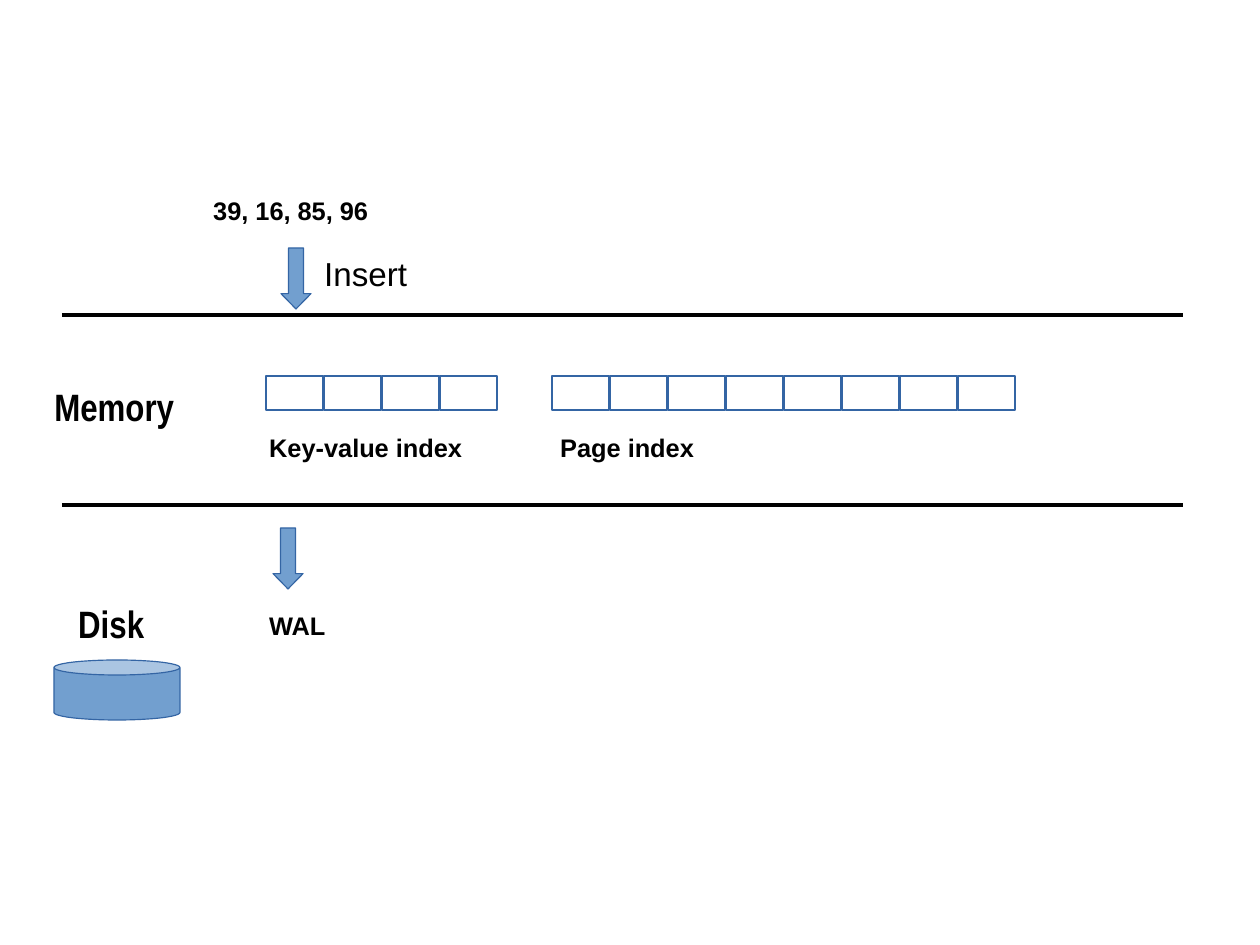
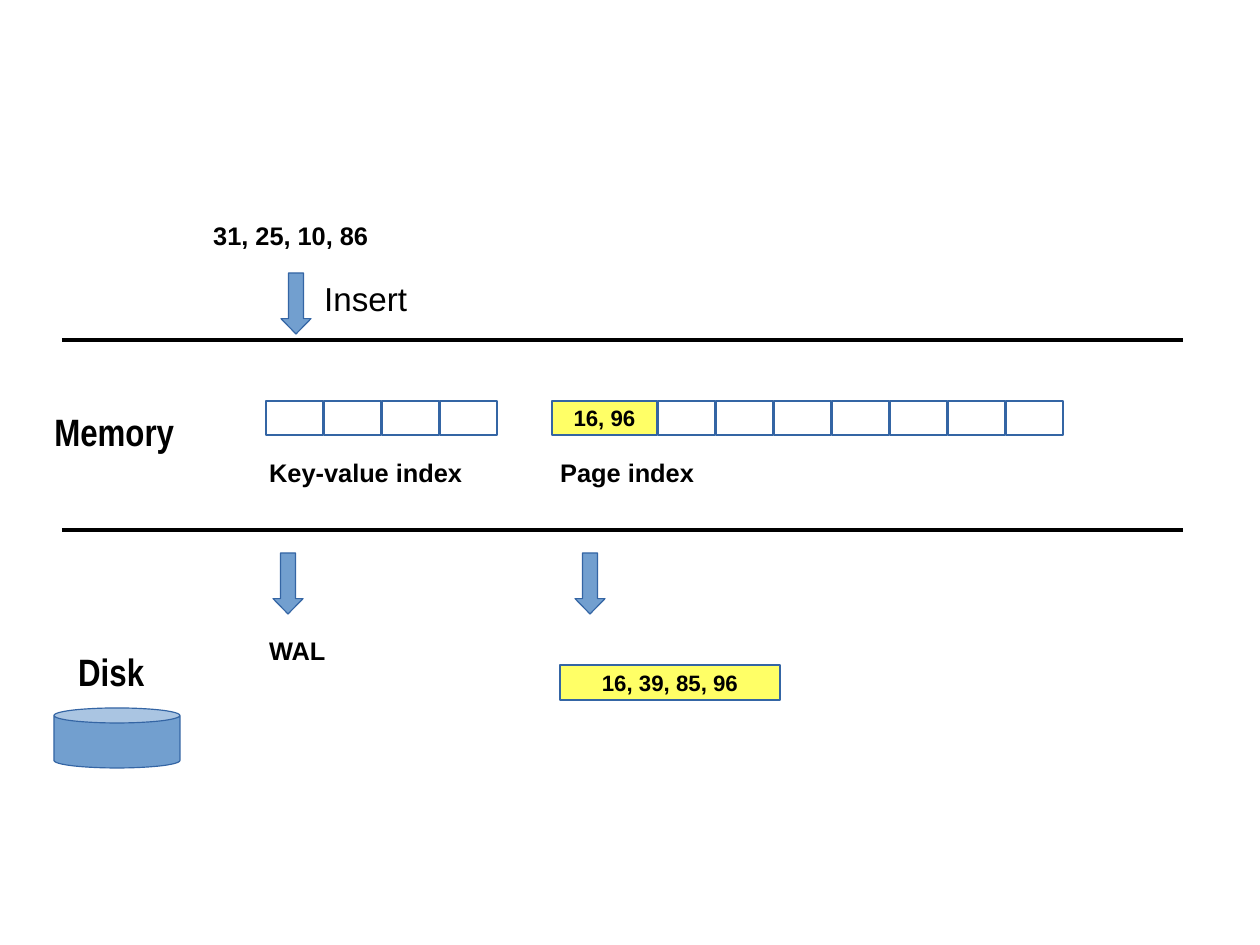
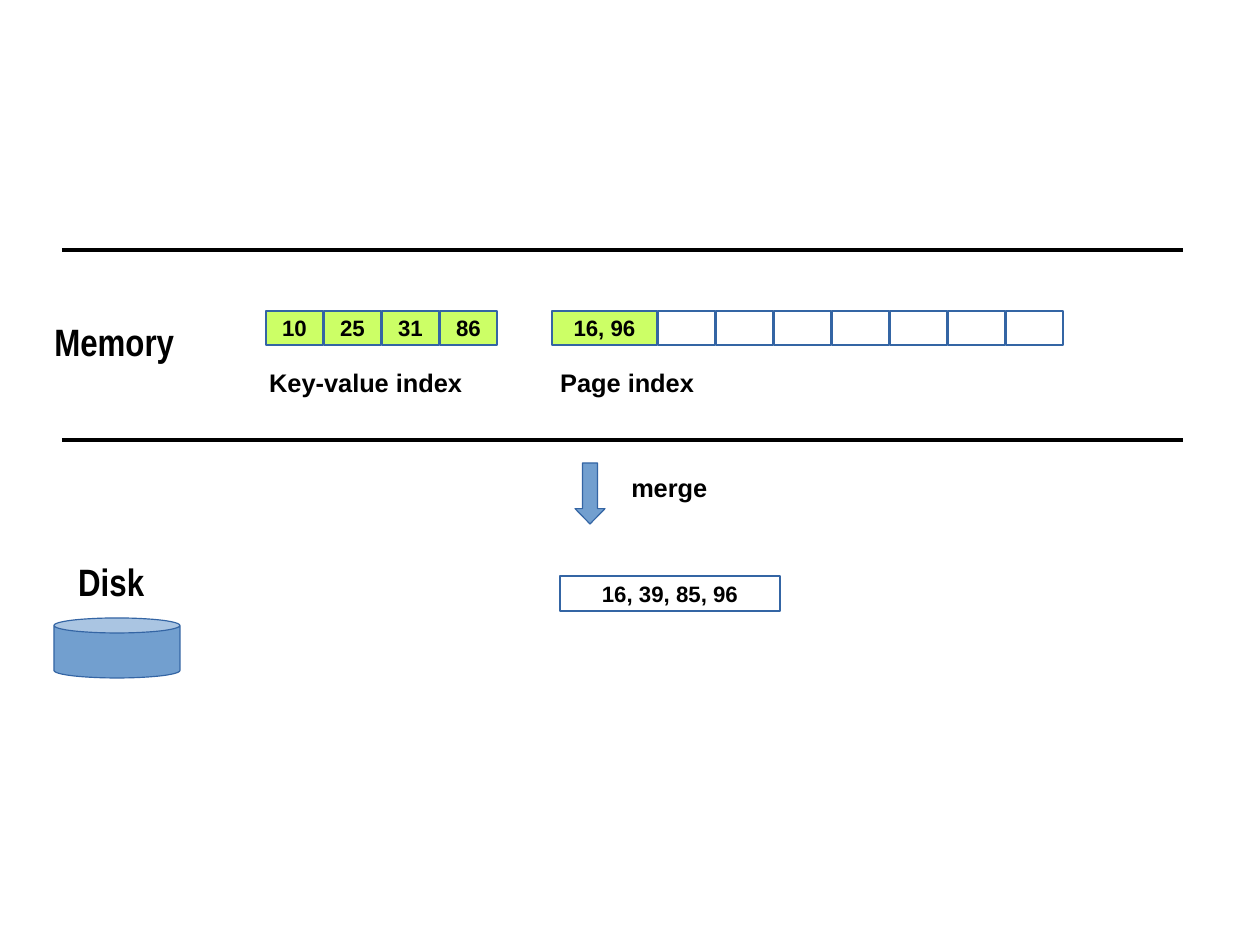
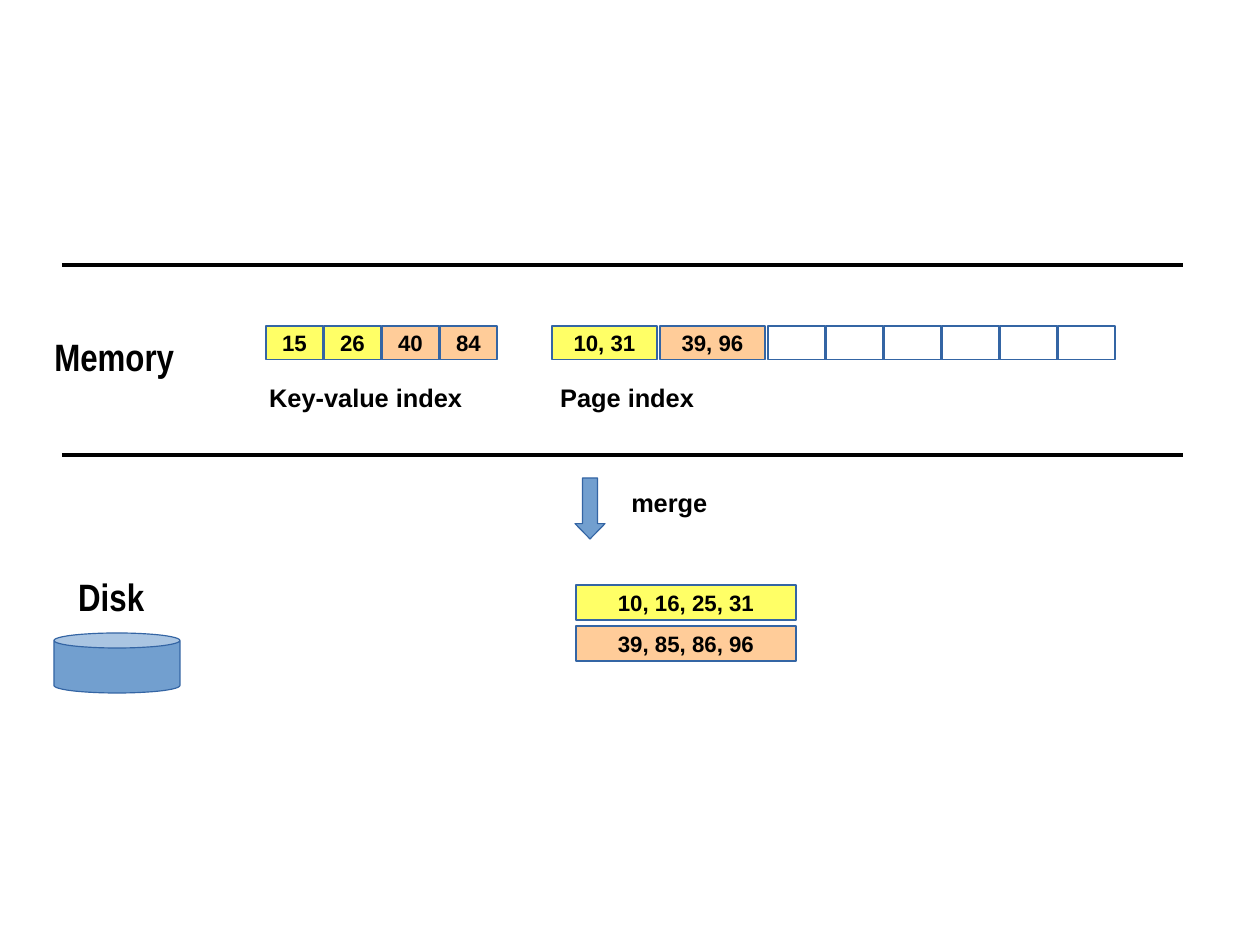
from lxml import etree
from pptx import Presentation
from pptx import util as u
from pptx.dml.color import RGBColor
from pptx.enum import shapes, text
from pptx.oxml.ns import qn

PX = 8000
C = {"ink": "000000", "edge": "3465A4", "blue": "729FCF", "yellow": "FFFF66",
     "green": "CCFF66", "orange": "FFCC99"}
MSO = shapes.MSO_SHAPE

LEFT, RIGHT, BAND = 62, 1183, 190
CELL_W, CELL_H, CELL_STEP = 57, 34, 58
PAGE_W, BLOCK_W, BLOCK_H, BLOCK_STEP = 105, 220, 35, 41
EMPTY = ("", None)

SLIDES = [
    {"top": 315, "disk": 280, "insert": "39, 16, 85, 96",
     "keys": [EMPTY] * 4, "pages": [EMPTY] * 8, "gap": 1,
     "blocks": [], "block_at": (560, 325)},
    {"top": 340, "disk": 303, "insert": "31, 25, 10, 86",
     "keys": [EMPTY] * 4, "pages": [("16, 96", "yellow")] + [EMPTY] * 7, "gap": 1,
     "blocks": [("16, 39, 85, 96", "yellow")], "block_at": (560, 325)},
    {"top": 250, "disk": 303, "insert": None,
     "keys": [(n, "green") for n in ("10", "25", "31", "86")],
     "pages": [("16, 96", "green")] + [EMPTY] * 7, "gap": 1,
     "blocks": [("16, 39, 85, 96", None)], "block_at": (560, 326)},
    {"top": 265, "disk": 303, "insert": None,
     "keys": [("15", "yellow"), ("26", "yellow"), ("40", "orange"), ("84", "orange")],
     "pages": [("10, 31", "yellow"), ("39, 96", "orange")] + [EMPTY] * 6, "gap": 3,
     "blocks": [("10, 16, 25, 31", "yellow"), ("39, 85, 86, 96", "orange")],
     "block_at": (576, 320)},
]


def add_text(sp, words, size, font="Arial", bold=True):
    r = sp.text_frame.paragraphs[0].add_run()
    r.text = words
    r.font.size = u.Pt(size)
    r.font.name = font
    r.font.bold = bold
    r.font.color.rgb = RGBColor.from_string(C["ink"])


def add_box(s, kind, x, y, w, h, fill=None, words=""):
    sp = s.shapes.add_shape(kind, x * PX, y * PX, w * PX, h * PX)
    sp.shadow.inherit = False
    if fill:
        sp.fill.solid()
        sp.fill.fore_color.rgb = RGBColor.from_string(C[fill])
    else:
        sp.fill.background()
    sp.line.color.rgb = RGBColor.from_string(C["edge"])
    sp.line.width = 0
    if kind == MSO.DOWN_ARROW:
        sp.adjustments[1] = 0.51
    if words:
        tf = sp.text_frame
        tf.word_wrap = False
        tf.vertical_anchor = text.MSO_ANCHOR.MIDDLE
        tf.paragraphs[0].alignment = text.PP_ALIGN.CENTER
        add_text(sp, words, 14)


prs = Presentation()
prs.slide_width, prs.slide_height = 1260 * PX, 945 * PX

for d in SLIDES:
    s = prs.slides.add_slide(prs.slide_layouts[6])
    top, disk = d["top"], d["top"] + d["disk"]

    for y in (top, top + BAND):
        ln = s.shapes.add_connector(shapes.MSO_CONNECTOR.STRAIGHT,
                                    LEFT * PX, y * PX, RIGHT * PX, y * PX)
        ln.line.color.rgb = RGBColor.from_string(C["ink"])
        ln.line.width = 0
        etree.SubElement(ln._element.spPr, qn("a:effectLst"))

    x = 266
    for words, fill in d["keys"]:
        add_box(s, MSO.RECTANGLE, x, top + 61, CELL_W, CELL_H, fill, words)
        x += CELL_STEP

    x = 552
    for words, fill in d["pages"]:
        add_box(s, MSO.RECTANGLE, x, top + 61, PAGE_W if words else CELL_W, CELL_H, fill, words)
        x += PAGE_W + d["gap"] if words else CELL_STEP

    x, y = d["block_at"]
    for i, (words, fill) in enumerate(d["blocks"]):
        add_box(s, MSO.RECTANGLE, x, top + y + i * BLOCK_STEP, BLOCK_W, BLOCK_H, fill, words)

    add_box(s, MSO.CAN, 54, disk + 65, 126, 60, "blue")

    labels = [
        ("Memory", 43, top + 63, 202, 74, 24, "Arial Narrow", True),
        ("Disk", 67, disk, 137, 74, 24, "Arial Narrow", True),
        ("Key-value index", 258, top + 112, 247, 53, 16, "Arial", True),
        ("Page index", 549, top + 112, 247, 53, 16, "Arial", True),
    ]
    arrows = []
    if d["insert"]:
        labels += [
            (d["insert"], 202, top - 125, 196, 53, 16, "Arial", True),
            ("Insert", 313, top - 67, 117, 65, 20.9, "Arial", False),
            ("WAL", 258, top + 290, 123, 53, 16, "Arial", True),
        ]
        arrows += [(281, top - 67), (273, top + 213)]
    else:
        labels.append(("merge", 620, top + 217, 247, 53, 16, "Arial", True))
    if d["blocks"]:
        arrows.append((575, top + 213))

    for words, x, y, w, h, size, font, bold in labels:
        sp = s.shapes.add_textbox(x * PX, y * PX, w * PX, h * PX)
        sp.text_frame.word_wrap = True
        add_text(sp, words, size, font, bold)
    for x, y in arrows:
        add_box(s, MSO.DOWN_ARROW, x, y, 30, 61, "blue")

prs.save("out.pptx")
